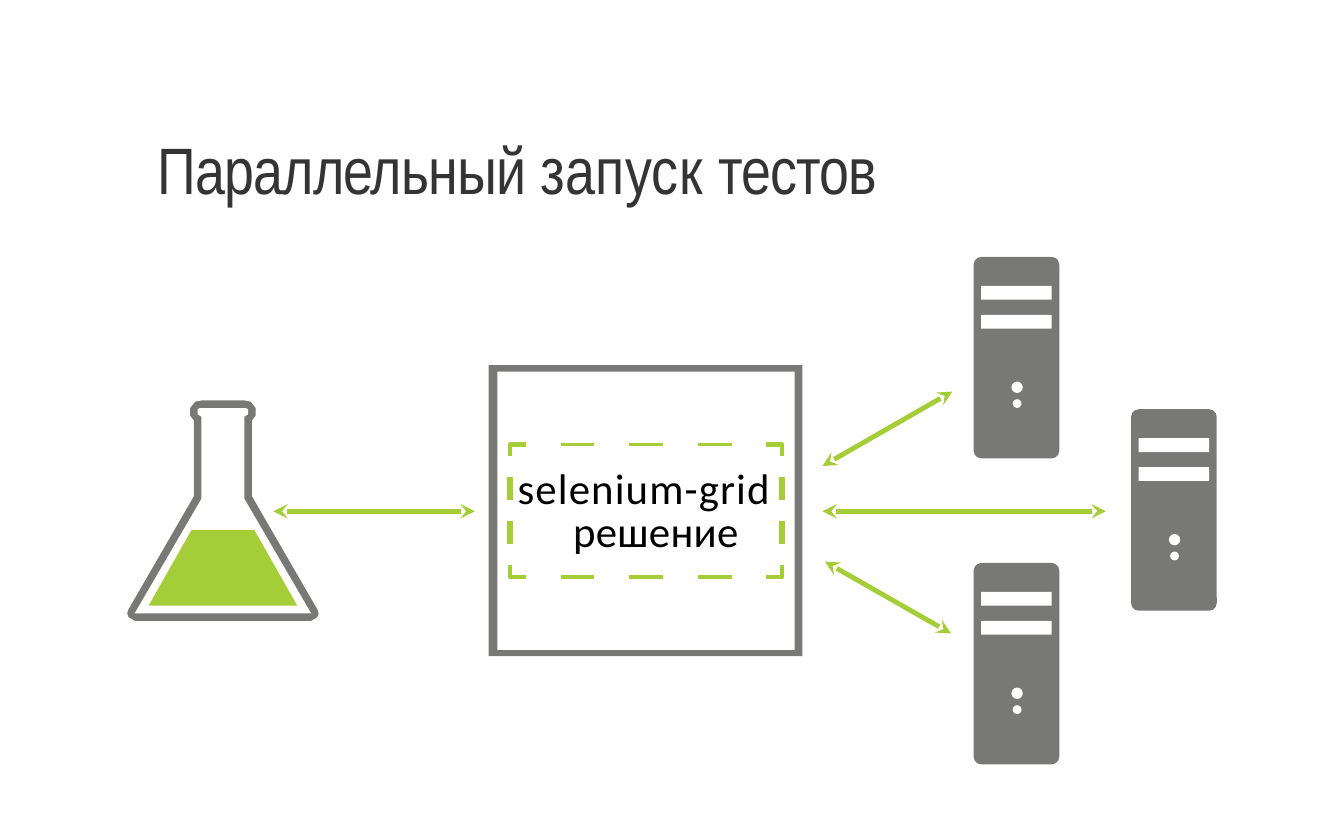
from dataclasses import dataclass

from lxml import etree
from pptx import Presentation
from pptx.dml.color import RGBColor
from pptx.enum import shapes, text
from pptx.oxml import ns
from pptx.util import Inches, Pt

GREY, GREEN, WHITE = "787877", "A4CD38", "FFFFFF"
INK, BLACK = "333433", "000000"
FLASK_AXIS = 1.77

Point = tuple[float, float]


@dataclass(frozen=True)
class Link:
    start: Point
    end: Point


@dataclass(frozen=True)
class ServerPart:
    kind: shapes.MSO_SHAPE
    left: float
    top: float
    width: float
    height: float
    fill: str


BLOCK = shapes.MSO_SHAPE.RECTANGLE
CIRCLE = shapes.MSO_SHAPE.OVAL
CASE = shapes.MSO_SHAPE.ROUNDED_RECTANGLE

SERVER_PARTS = [
    ServerPart(CASE, 0, 0, 0.68, 1.6, GREY),
    ServerPart(BLOCK, 0.06, 0.23, 0.56, 0.11, WHITE),
    ServerPart(BLOCK, 0.06, 0.46, 0.56, 0.11, WHITE),
    ServerPart(CIRCLE, 0.3, 0.99, 0.09, 0.09, WHITE),
    ServerPart(CIRCLE, 0.31, 1.13, 0.07, 0.07, WHITE),
]
SERVERS = [(7.73, 2.04), (8.98, 3.25), (7.73, 4.47)]
LINKS = [
    Link((2.17, 4.06), (3.77, 4.06)),
    Link((6.53, 4.06), (8.78, 4.06)),
    Link((6.53, 3.7), (7.56, 3.11)),
    Link((6.55, 4.46), (7.55, 5.03)),
]

# Left halves of the flask outlines, from bottom to top
GLASS = [(1.07, 4.93), (1.02, 4.9), (1.01, 4.87), (1.02, 4.84), (1.54, 3.94),
         (1.54, 3.34), (1.51, 3.3), (1.51, 3.24), (1.55, 3.19), (1.6, 3.18)]
HOLLOW = [(1.07, 4.87), (1.6, 3.96), (1.6, 3.31), (1.57, 3.29),
          (1.57, 3.25), (1.59, 3.24)]
LIQUID = [(1.18, 4.81), (1.52, 4.21)]


def rgb(value: str) -> RGBColor:
    return RGBColor.from_string(value)


def paint(shape, fill: str) -> None:
    shape.shadow.inherit = False
    shape.fill.solid()
    shape.fill.fore_color.rgb = rgb(fill)
    shape.line.fill.background()


def add_block(slide, kind, left: float, top: float, width: float,
              height: float, fill: str):
    block = slide.shapes.add_shape(
        kind, Inches(left), Inches(top), Inches(width), Inches(height))
    paint(block, fill)
    return block


def add_outline(slide, points: list[Point], close: bool = True):
    corners = [(Inches(x), Inches(y)) for x, y in points]
    builder = slide.shapes.build_freeform(*corners[0])
    builder.add_line_segments(corners[1:], close=close)
    return builder.convert_to_shape()


def add_line(slide, start: Point, end: Point, weight: float,
             arrows: bool = False) -> None:
    line = slide.shapes.add_connector(
        shapes.MSO_CONNECTOR.STRAIGHT,
        *(Inches(value) for value in start + end))
    line.line.color.rgb = rgb(GREEN)
    line.line.width = Pt(weight)
    properties = line._element.spPr
    if arrows:
        for name in ("a:headEnd", "a:tailEnd"):
            etree.SubElement(properties.find(ns.qn("a:ln")), ns.qn(name),
                             type="stealth", w="med", len="med")
    etree.SubElement(properties, ns.qn("a:effectLst"))


def write(shape, runs: list[tuple[str, float]], *, size: float, font: str,
          color: str, inset_top: float = 0, left: float = 0,
          indent: float = 0, leading: float | None = None) -> None:
    """Fill a shape with one paragraph of (wording, letter spacing) runs."""
    frame = shape.text_frame
    frame.word_wrap = True
    frame.auto_size = text.MSO_AUTO_SIZE.NONE
    frame.vertical_anchor = text.MSO_ANCHOR.TOP
    frame.margin_left = frame.margin_right = frame.margin_bottom = 0
    frame.margin_top = Inches(inset_top)
    paragraph = frame.paragraphs[0]
    paragraph.alignment = text.PP_ALIGN.LEFT
    if leading:
        paragraph.line_spacing = Pt(leading)
    layout = paragraph._p.get_or_add_pPr()
    layout.set("marL", str(Inches(left)))
    layout.set("indent", str(Inches(indent)))
    for wording, spacing in runs:
        run = paragraph.add_run()
        run.text = wording
        run.font.size = Pt(size)
        run.font.name = font
        run.font.color.rgb = rgb(color)
        run._r.get_or_add_rPr().set("spc", str(round(spacing * 100)))


def add_flask(slide) -> None:
    for half, fill in ((GLASS, GREY), (HOLLOW, WHITE), (LIQUID, GREEN)):
        mirrored = [(2 * FLASK_AXIS - x, y) for x, y in reversed(half)]
        paint(add_outline(slide, half + mirrored), fill)


def add_server(slide, left: float, top: float) -> None:
    for part in SERVER_PARTS:
        block = add_block(slide, part.kind, left + part.left, top + part.top,
                          part.width, part.height, part.fill)
        if part.kind == CASE:
            block.adjustments[0] = 0.09


def add_dashed_border(slide) -> None:
    left, top, right, bottom = 4.05, 3.53, 6.21, 4.58
    for y, inward_y in ((top, 0.09), (bottom, -0.09)):
        for column in range(3):
            x = 4.45 + 0.545 * column
            add_line(slide, (x, y), (x + 0.27, y), 2.11)
        for x, inward_x in ((left, 0.13), (right, -0.13)):
            corner = add_outline(
                slide, [(x + inward_x, y), (x, y), (x, y + inward_y)],
                close=False)
            corner.shadow.inherit = False
            corner.fill.background()
            corner.line.color.rgb = rgb(GREEN)
            corner.line.width = Pt(2.43)
    for x in (left, right):
        for y in (3.79, 4.14):
            add_line(slide, (x, y), (x, y + 0.18), 3.16)


def main() -> None:
    deck = Presentation()
    deck.slide_width, deck.slide_height = Inches(10.67), Inches(6.67)
    slide = deck.slides.add_slide(deck.slide_layouts[5])

    # Title
    title = slide.shapes.title
    title.left, title.top = Inches(1.24), Inches(1.01)
    title.width, title.height = Inches(5.74), Inches(0.65)
    write(title, [("Параллельный ", -0.5), ("запуск ", 0.2), ("тестов", -0.6)],
          size=37.5, font="Arial Narrow", color=INK, inset_top=0.01, left=0.01)

    # Grid box with its label
    add_block(slide, BLOCK, 3.88, 2.9, 2.49, 2.31, GREY)
    add_block(slide, BLOCK, 3.95, 2.95, 2.36, 2.21, WHITE)
    add_dashed_border(slide)
    label = slide.shapes.add_textbox(
        Inches(3.95), Inches(3.65), Inches(2.36), Inches(0.78))
    write(label, [("selenium-grid", 0.65), (" решение", 0.2)], size=24.5,
          font="Calibri", color=BLACK, inset_top=0.08, left=0.6,
          indent=-0.44, leading=24.7)

    # Tests, servers and the links between them
    add_flask(slide)
    for left, top in SERVERS:
        add_server(slide, left, top)
    for link in LINKS:
        add_line(slide, link.start, link.end, 2.78, arrows=True)

    deck.save("out.pptx")


if __name__ == "__main__":
    main()
